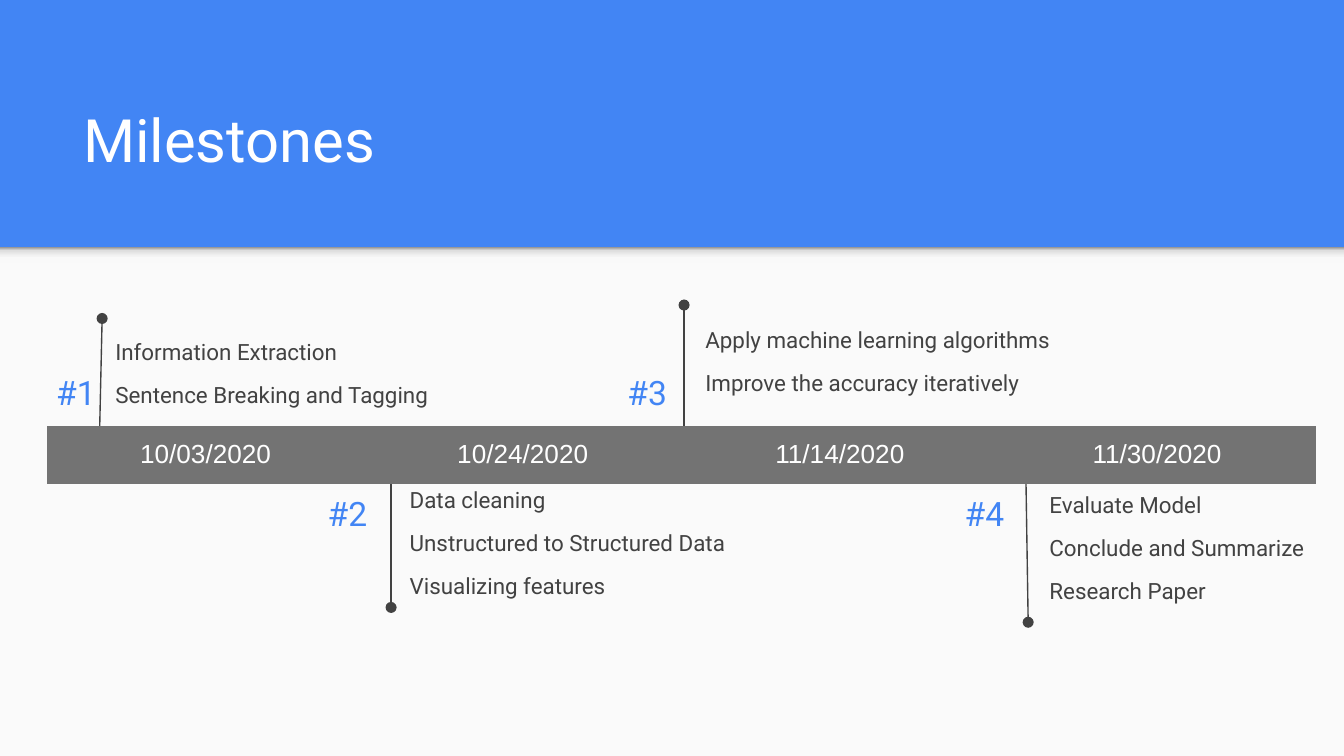
from copy import deepcopy

from lxml import etree
from pptx import Presentation
from pptx.dml.color import RGBColor
from pptx.enum.shapes import MSO_CONNECTOR, MSO_SHAPE
from pptx.enum.text import MSO_ANCHOR, PP_ALIGN
from pptx.oxml.ns import qn
from pptx.util import Inches, Pt

RECT = MSO_SHAPE.RECTANGLE
STRAIGHT = MSO_CONNECTOR.STRAIGHT
TOP, MIDDLE, BOTTOM = MSO_ANCHOR.TOP, MSO_ANCHOR.MIDDLE, MSO_ANCHOR.BOTTOM
CENTER = PP_ALIGN.CENTER

COLORS = {"blue": "4285F4", "panel": "FAFAFA", "dark": "424242",
          "bar": "737373", "white": "FFFFFF"}
SHADOW_STOPS = [(0, "F9F9F9"), (0.36, "F9F9F9"), (0.8, "DEDEDE"), (1, "999999")]

# date, label, label box, line start and end, text box, text lines
MILESTONES = [
    ("10/03/2020", "#1", (0.32, 2.7, 0.5, 0.43), (0.74, 3.27, 0.76, 2.37),
     (0.76, 2.5, 3.13, 0.63),
     ["Information Extraction", "Sentence Breaking and Tagging"]),
    ("10/24/2020", "#2", (2.34, 3.64, 0.56, 0.35), (2.91, 3.6, 2.91, 4.52),
     (2.95, 3.6, 3.13, 0.92),
     ["Data cleaning", "Unstructured to Structured Data", "Visualizing features"]),
    ("11/14/2020", "#3", (4.57, 2.74, 0.65, 0.35), (5.09, 3.18, 5.09, 2.27),
     (5.15, 2.41, 3.66, 0.63),
     ["Apply machine learning algorithms", "Improve the accuracy iteratively"]),
    ("11/30/2020", "#4", (7.08, 3.6, 0.5, 0.43), (7.63, 3.34, 7.65, 4.63),
     (7.71, 3.64, 2.41, 1.12),
     ["Evaluate Model", "Conclude and Summarize", "Research Paper"]),
]


def add_run(p, text, size, color, font="Roboto"):
    r = p.add_run()
    r.text = text
    r.font.size = Pt(size)
    r.font.name = font
    r.font.color.rgb = RGBColor.from_string(COLORS[color])


def add_text(box, lines, size, color, anchor=TOP, spacing=1, before=0):
    """Add a text box with one paragraph per line; before is the gap between them."""
    tf = s.shapes.add_textbox(*map(Inches, box)).text_frame
    tf.word_wrap = True
    tf.vertical_anchor = anchor
    tf.margin_left = tf.margin_right = tf.margin_top = tf.margin_bottom = Inches(0.1)
    for i, line in enumerate(lines):
        p = tf.add_paragraph() if i else tf.paragraphs[0]
        p.line_spacing = spacing
        p.space_before = Pt(before if i else 0)
        add_run(p, line, size, color)


prs = Presentation()
prs.slide_width, prs.slide_height = Inches(10), Inches(10 * 9 / 16)
s = prs.slides.add_slide(prs.slide_layouts[6])
s.background.fill.solid()
s.background.fill.fore_color.rgb = RGBColor.from_string(COLORS["blue"])

# Light panel with a soft shadow under the header
panel_top = Inches(1.84)
panel = s.shapes.add_shape(RECT, 0, panel_top, prs.slide_width,
                           prs.slide_height - panel_top)
panel.fill.solid()
panel.fill.fore_color.rgb = RGBColor.from_string(COLORS["panel"])
shade = s.shapes.add_shape(RECT, 0, panel_top, prs.slide_width, Inches(0.12))
shade.fill.gradient()
shade.fill.gradient_angle = 90
stops = shade.fill._fill._gradFill.find(qn("a:gsLst"))
while len(stops) < len(SHADOW_STOPS):
    stops.append(deepcopy(stops[0]))
for stop, (position, color) in zip(shade.fill.gradient_stops, SHADOW_STOPS):
    stop.position = position
    stop.color.rgb = RGBColor.from_string(color)
for sp in (panel, shade):
    sp.line.fill.background()
    sp.shadow.inherit = False

add_text((0.52, 0.81, 8.99, 0.59), ["Milestones"], 32, "white", BOTTOM)

for date, label, label_box, ends, text_box, lines in MILESTONES:
    line = s.shapes.add_connector(STRAIGHT, *map(Inches, ends))
    line.line.color.rgb = RGBColor.from_string(COLORS["dark"])
    line.line.width = Pt(0.75)
    etree.SubElement(line.line._get_or_add_ln(), qn("a:tailEnd"), type="oval")
    etree.SubElement(line._element.spPr, qn("a:effectLst"))
    add_text(label_box, [label], 18, "blue", MIDDLE)
    add_text(text_box, lines, 12, "dark", spacing=0.5, before=16)

# Date bar, without the white cell borders of the default table style
table = s.shapes.add_table(1, len(MILESTONES), Inches(0.35), Inches(3.17),
                           Inches(9.44), Inches(0.42)).table
table.first_row = table.horz_banding = False
for cell, (date, *_) in zip(table.rows[0].cells, MILESTONES):
    cell.fill.solid()
    cell.fill.fore_color.rgb = RGBColor.from_string(COLORS["bar"])
    cell.margin_left = cell.margin_right = Inches(0.1)
    cell.margin_top = cell.margin_bottom = Inches(0.1)
    p = cell.text_frame.paragraphs[0]
    p.alignment = CENTER
    add_run(p, date, 14, "white", "Arial")
    for side in ("a:lnL", "a:lnR", "a:lnT", "a:lnB"):
        border = etree.Element(qn(side), w="9525")
        etree.SubElement(border, qn("a:noFill"))
        cell._tc.tcPr.find(qn("a:solidFill")).addprevious(border)

prs.save("out.pptx")
